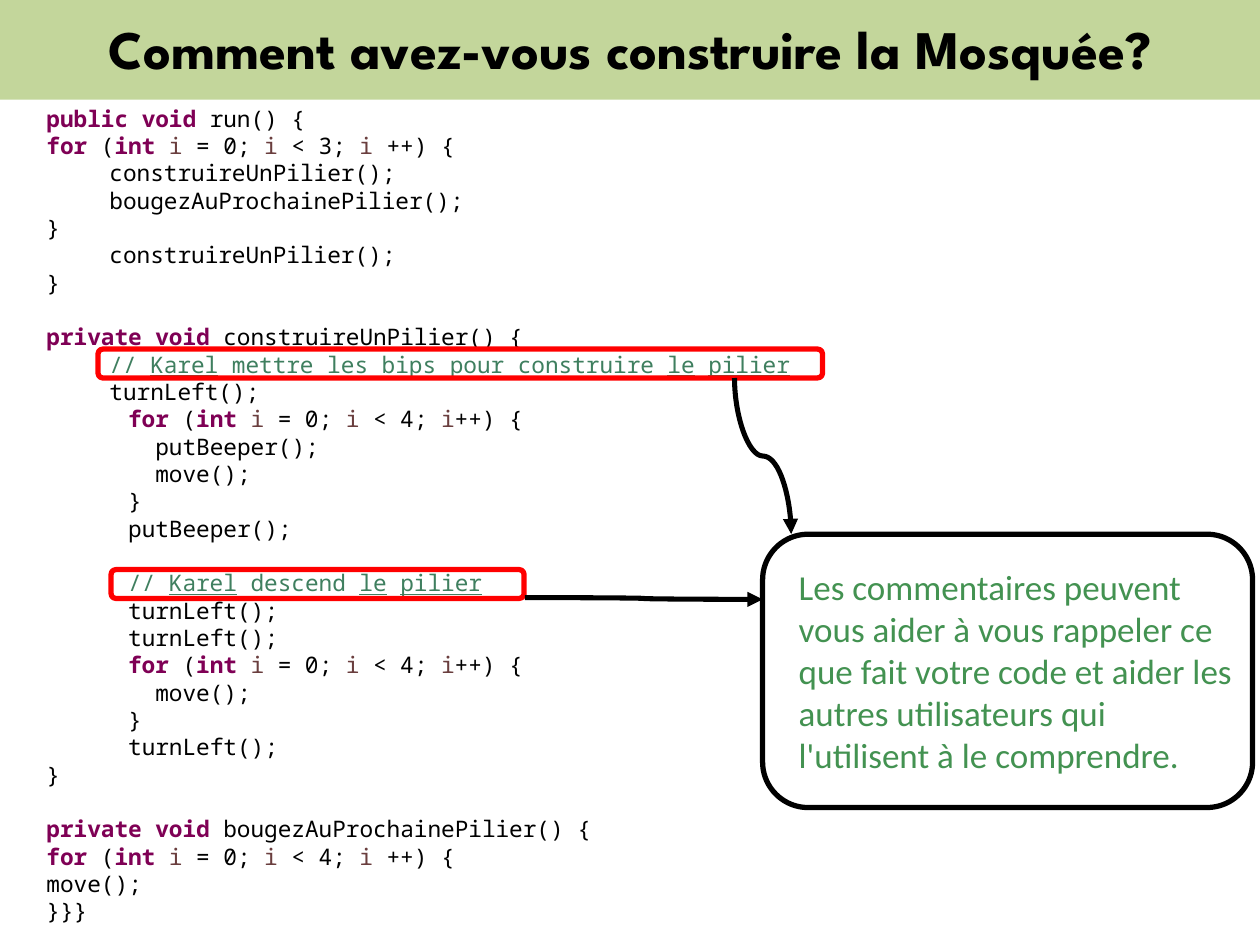
from pptx import Presentation
from pptx.dml.color import RGBColor
from pptx.enum import shapes, text
from pptx.oxml.ns import qn
from pptx.util import Pt
from lxml import etree

BLACK = RGBColor(0x00, 0x00, 0x00)
SAGE = RGBColor(0xC3, 0xD6, 0x9B)
PLUM = RGBColor(0x7F, 0x00, 0x55)
BROWN = RGBColor(0x6A, 0x3E, 0x3E)
TEAL = RGBColor(0x3F, 0x7F, 0x5F)
GREEN = RGBColor(0x43, 0x92, 0x51)
RED = RGBColor(0xFF, 0x00, 0x00)


def write(para, words, font="Noto Sans Mono", size=13, color=BLACK, bold=False, under=False):
    run = para.add_run()
    run.text = words
    run.font.name = font
    run.font.size = Pt(size)
    run.font.color.rgb = color
    run.font.bold = bold
    run.font.underline = under


def frame(x, y, w, h, color):
    box = slide.shapes.add_shape(shapes.MSO_SHAPE.ROUNDED_RECTANGLE, Pt(x), Pt(y), Pt(w), Pt(h))
    box.shadow.inherit = False
    box.fill.background()
    box.line.color.rgb = color
    box.line.width = Pt(3)
    return box


deck = Presentation()
deck.slide_width, deck.slide_height = Pt(720), Pt(540)
slide = deck.slides.add_slide(deck.slide_layouts[5])

title = slide.shapes.title
title.left, title.top, title.width, title.height = Pt(0), Pt(-2), Pt(720), Pt(59)
title.fill.solid()
title.fill.fore_color.rgb = SAGE
body = title.text_frame
body.auto_size = text.MSO_AUTO_SIZE.NONE
body.vertical_anchor = text.MSO_ANCHOR.MIDDLE
para = body.paragraphs[0]
para.alignment = text.PP_ALIGN.CENTER
write(para, "Comment avez-vous construire la Mosquée?", font="League Spartan", size=31, bold=True)

LOOP = "for| (|int |i| = 0; |i| < {}; |i|{}++) {{"
INNER = "      " + "|" + LOOP.format(4, "")
BLOCKS = [
    [
        "public void| run() {",
        LOOP.format(3, " "),
        "\tconstruireUnPilier();",
        "\tbougezAuProchainePilier();",
        "}",
        "\tconstruireUnPilier();",
        "}",
    ],
    [
        "private void |construireUnPilier() {",
        "\t// |Karel| mettre les bips pour construire |le| |pilier",
        "\tturnLeft();",
        INNER,
        "        putBeeper();",
        "        move();",
        "      }",
        "      putBeeper();",
    ],
    [
        "      |// |Karel| descend |le| |pilier",
        "      turnLeft();",
        "      turnLeft();",
        INNER,
        "        move();",
        "      }",
        "      turnLeft();",
        "}",
    ],
    [
        "private void |bougezAuProchainePilier() {",
        LOOP.format(4, " "),
        "move();",
        "}}}",
    ],
]
KEYS = {"public void", "private void", "for", "int"}
MARKED = {"Karel", "le", "pilier"}

code = slide.shapes.add_textbox(Pt(19.5), Pt(56.2), Pt(700), Pt(479.5)).text_frame
code.word_wrap = True
para = code.paragraphs[0]
for b, block in enumerate(BLOCKS):
    for n, line in enumerate(block):
        if b or n:
            para = code.add_paragraph()
        if b and not n:
            para.space_before = Pt(15.6)
        if line.startswith("\t"):
            para.level = 1
            props = para._p.get_or_add_pPr()
            props.set("marL", str(Pt(36)))
            props.set("indent", "0")
        note = "//" in line
        for part in line.strip("\t").split("|"):
            key = part.strip() in KEYS
            color = TEAL if note else PLUM if key else BROWN if part == "i" else BLACK
            write(para, part, color=color, bold=key, under=part in MARKED)

frame(56, 199.5, 414, 16.5, RED)
frame(63.5, 325.5, 236, 16.5, RED)

ARROWS = [(480.5, 244.4, 391.3, 276.8, 270), (300, 341.5, 435.8, 342.5, 0)]
for x, y, far, low, turn in ARROWS:
    arrow = slide.shapes.add_connector(
        shapes.MSO_CONNECTOR.CURVE, Pt(x), Pt(y), Pt(far), Pt(low))
    arrow.line.color.rgb = BLACK
    arrow.line.width = Pt(2.89)
    props = arrow._element.spPr
    if turn:
        props.xfrm.set("rot", str(turn * 60000))
    etree.SubElement(arrow.line._get_or_add_ln(), qn("a:tailEnd"), type="triangle")
    etree.SubElement(props, qn("a:effectLst"))

body = frame(435.8, 305.3, 280, 156.2, BLACK).text_frame
body.word_wrap = True
body.vertical_anchor = text.MSO_ANCHOR.MIDDLE
body.margin_left, body.margin_right = Pt(13), Pt(0)
para = body.paragraphs[0]
para.alignment = text.PP_ALIGN.LEFT
write(para, "Les commentaires peuvent vous aider à vous rappeler ce que fait votre code "
      "et aider les autres utilisateurs qui l'utilisent à le comprendre.",
      font="Calibri", size=20, color=GREEN)

deck.save("out.pptx")
